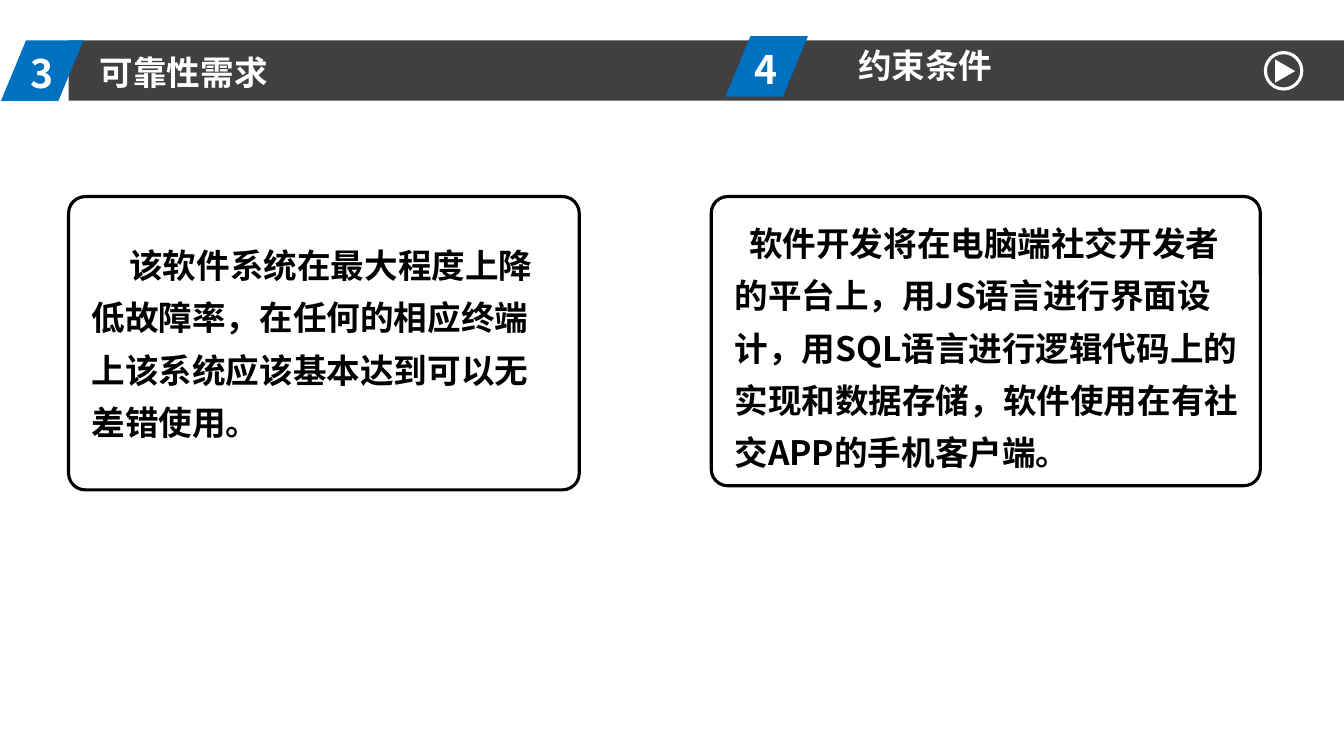
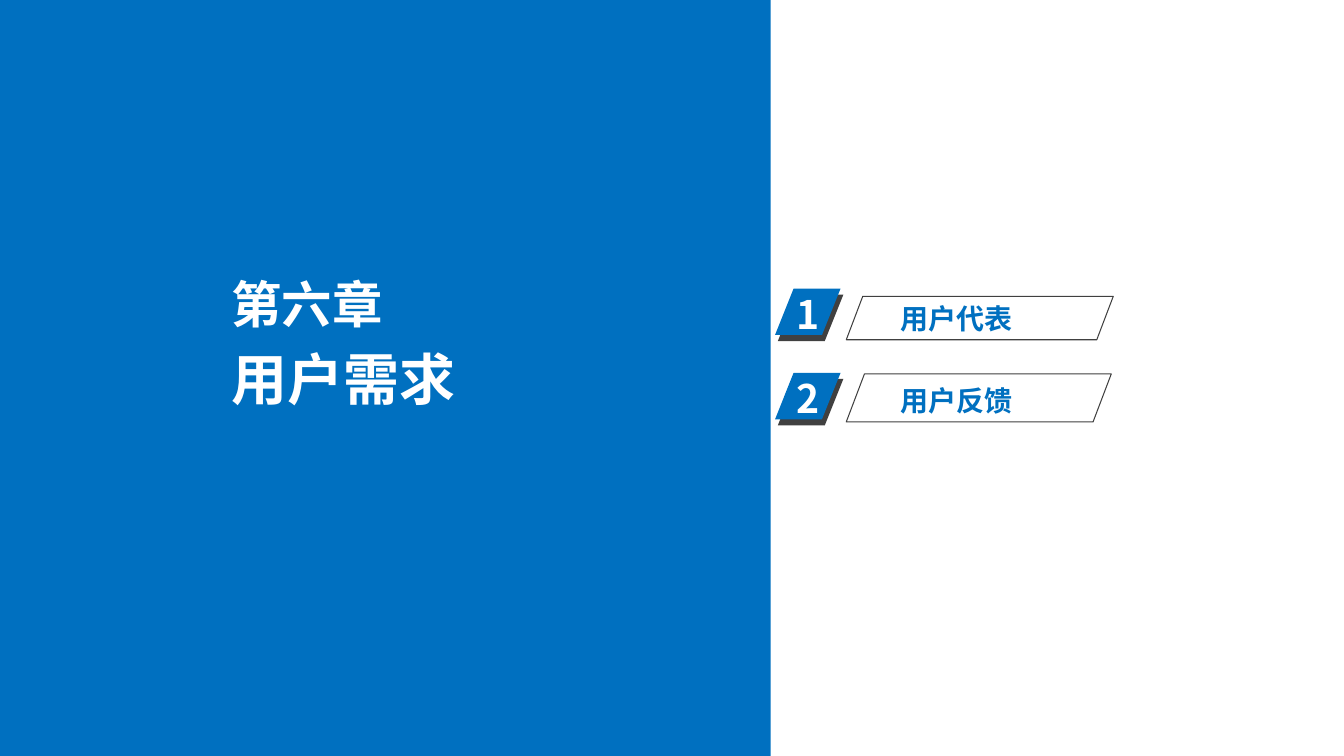
from lxml import etree
from pptx import Presentation
from pptx.dml.color import RGBColor
from pptx.enum.shapes import MSO_SHAPE
from pptx.enum.text import MSO_ANCHOR, MSO_AUTO_SIZE, PP_ALIGN
from pptx.oxml.ns import qn
from pptx.util import Pt

BLUE = RGBColor(0x00, 0x70, 0xC0)
DARK = RGBColor(0x40, 0x40, 0x40)
WHITE = RGBColor(0xFF, 0xFF, 0xFF)
BLACK = RGBColor(0x00, 0x00, 0x00)

HEAD_FONT = "Noto Sans CJK SC"
BODY_FONT = "Noto Sans CJK JP"

RECT = MSO_SHAPE.RECTANGLE
ROUND_RECT = MSO_SHAPE.ROUNDED_RECTANGLE
SLANTED = MSO_SHAPE.PARALLELOGRAM
ELLIPSE = MSO_SHAPE.OVAL
TRIANGLE = MSO_SHAPE.ISOSCELES_TRIANGLE
TOP = MSO_ANCHOR.TOP
LEFT = PP_ALIGN.LEFT
NO_AUTOFIT = MSO_AUTO_SIZE.NONE

SLIDE_W, SLIDE_H = 960.48, 540
TWO_CONTENT, TITLE_ONLY = 3, 5


def add_shape(slide, kind, box, fill=None, line=None, line_width=0.75, adj=None):
    sp = slide.shapes.add_shape(kind, *map(Pt, box))
    sp.shadow.inherit = False
    if adj is not None:
        sp.adjustments[0] = adj
    if fill is None:
        sp.fill.background()
    else:
        sp.fill.solid()
        sp.fill.fore_color.rgb = fill
    if line is None:
        sp.line.fill.background()
    else:
        sp.line.color.rgb = line
        sp.line.width = Pt(line_width)
    return sp


def write(sp, text, size, color=WHITE, font=HEAD_FONT, inset=(7.2, 3.6),
          spacing=1.0, indent=0):
    """Fill a text box or placeholder with one bold, left-aligned paragraph."""
    tf = sp.text_frame
    tf.text = text
    tf.word_wrap = True
    tf.auto_size = NO_AUTOFIT
    tf.vertical_anchor = TOP
    tf.margin_left = tf.margin_right = Pt(inset[0])
    tf.margin_top = tf.margin_bottom = Pt(inset[1])
    p = tf.paragraphs[0]
    p.alignment = LEFT
    p.line_spacing = spacing
    p.space_before = Pt(0)
    pPr = p._p.get_or_add_pPr()
    pPr.set("marL", "0")
    pPr.set("indent", str(Pt(indent)))
    etree.SubElement(pPr, qn("a:buNone"))
    r = p.runs[0]
    r.font.size = Pt(size)
    r.font.bold = True
    r.font.color.rgb = color
    r.font.name = font
    etree.SubElement(r._r.get_or_add_rPr(), qn("a:ea")).set("typeface", font)


def add_text(slide, box, text, size, color=WHITE):
    write(slide.shapes.add_textbox(*map(Pt, box)), text, size, color)


def place(sp, box):
    """Move a placeholder to the box and in front of what is already drawn."""
    sp.left, sp.top, sp.width, sp.height = map(Pt, box)
    sp._element.getparent().append(sp._element)
    return sp


def add_badge(slide, number, box, text_offset, adj):
    x, y = box[:2]
    dx, dy = text_offset
    add_shape(slide, SLANTED, box, fill=BLUE, adj=adj)
    add_text(slide, (x + dx, y + dy, 49.7, 41), number, 28)


def add_play_icon(slide):
    add_shape(slide, ELLIPSE, (904.3, 37.6, 26, 26), line=WHITE, line_width=2.25)
    sp = add_shape(slide, TRIANGLE, (910.1, 43.6, 16.6, 14.4), fill=WHITE)
    sp.rotation = 90


def add_card(slide, frame, body, text_box, text, indent):
    add_shape(slide, ROUND_RECT, frame, line=BLACK, line_width=2.25, adj=0.057)
    write(place(body, text_box), text, 24, BLACK, BODY_FONT,
          inset=(6.5, 2.9), spacing=1.3, indent=indent)


def build_requirements(prs):
    slide = prs.slides.add_slide(prs.slide_layouts[TWO_CONTENT])
    title, reliability, constraints = slide.placeholders
    add_shape(slide, RECT, (49, 28.8, SLIDE_W - 49, 43.2), fill=DARK)
    for number, x, y in (("3", 0.7, 28.8), ("4", 518.4, 25.9)):
        add_badge(slide, number, (x, y, 59, 43.2), (14, 2.9), 0.415)
    write(place(title, (64.1, 33.1, 283.7, 36)), "可靠性需求", 24)
    add_text(slide, (606.2, 28.8, 197.3, 36), "约束条件", 24)
    add_play_icon(slide)
    add_card(slide, (49, 140.4, 365, 209.5), reliability,
             (59, 163.4, 329.8, 155.5),
             "该软件系统在最大程度上降低故障率，在任何的相应终端上该系统应该基本达到"
             "可以无差错使用。", 27)
    add_card(slide, (508.3, 140.4, 392.4, 206.6), constraints,
             (518.4, 147.6, 373.7, 193),
             "软件开发将在电脑端社交开发者的平台上，用JS语言进行界面设计，用SQL语言"
             "进行逻辑代码上的实现和数据存储，软件使用在有社交APP的手机客户端。", 10.5)


def build_chapter(prs):
    slide = prs.slides.add_slide(prs.slide_layouts[TITLE_ONLY])
    add_shape(slide, RECT, (0, 0, 550.8, SLIDE_H), fill=BLUE)
    add_text(slide, (158.4, 191.5, 130.3, 50.4), "第六章", 36)
    write(place(slide.shapes.title, (158.4, 242.6, 271.4, 55.4)), "用户需求", 40)

    topics = (("用户代表", (604.8, 211.7, 190.8, 31), 211.7),
              ("用户反馈", (604.8, 267.1, 189.4, 34.3), 270.7))
    for i, (topic, frame, text_y) in enumerate(topics):
        x, y = 553.9, 206.2 + 60.2 * i
        add_shape(slide, SLANTED, (x + 2, y + 4.3, 46.8, 33.1), fill=DARK, adj=0.4)
        add_badge(slide, str(i + 1), (x, y, 46.8, 33.1), (7.9, -2.6), 0.4)
        add_shape(slide, SLANTED, frame, line=DARK, adj=0.38)
        add_text(slide, (636.5, text_y, 218.2, 31.7), topic, 20, BLUE)


def main():
    prs = Presentation()
    prs.slide_width, prs.slide_height = Pt(SLIDE_W), Pt(SLIDE_H)
    build_requirements(prs)
    build_chapter(prs)
    prs.save("out.pptx")


if __name__ == "__main__":
    main()
